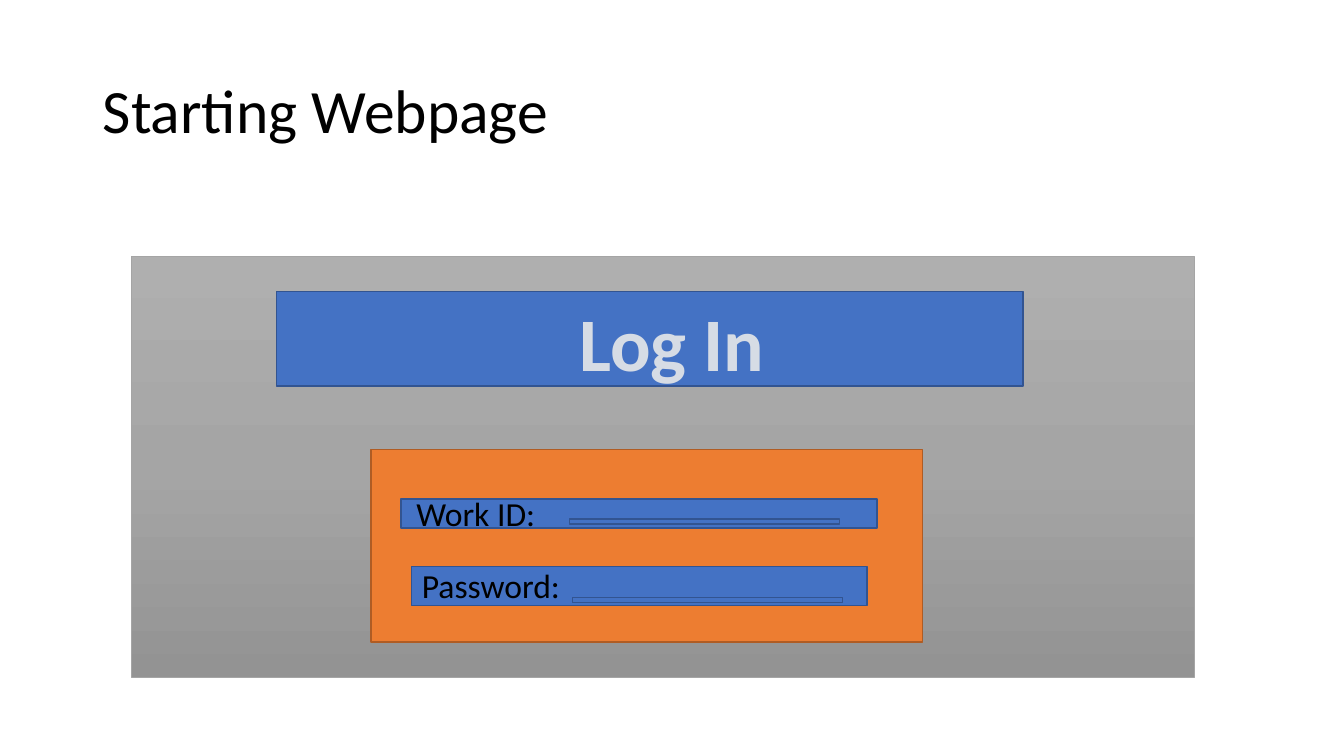
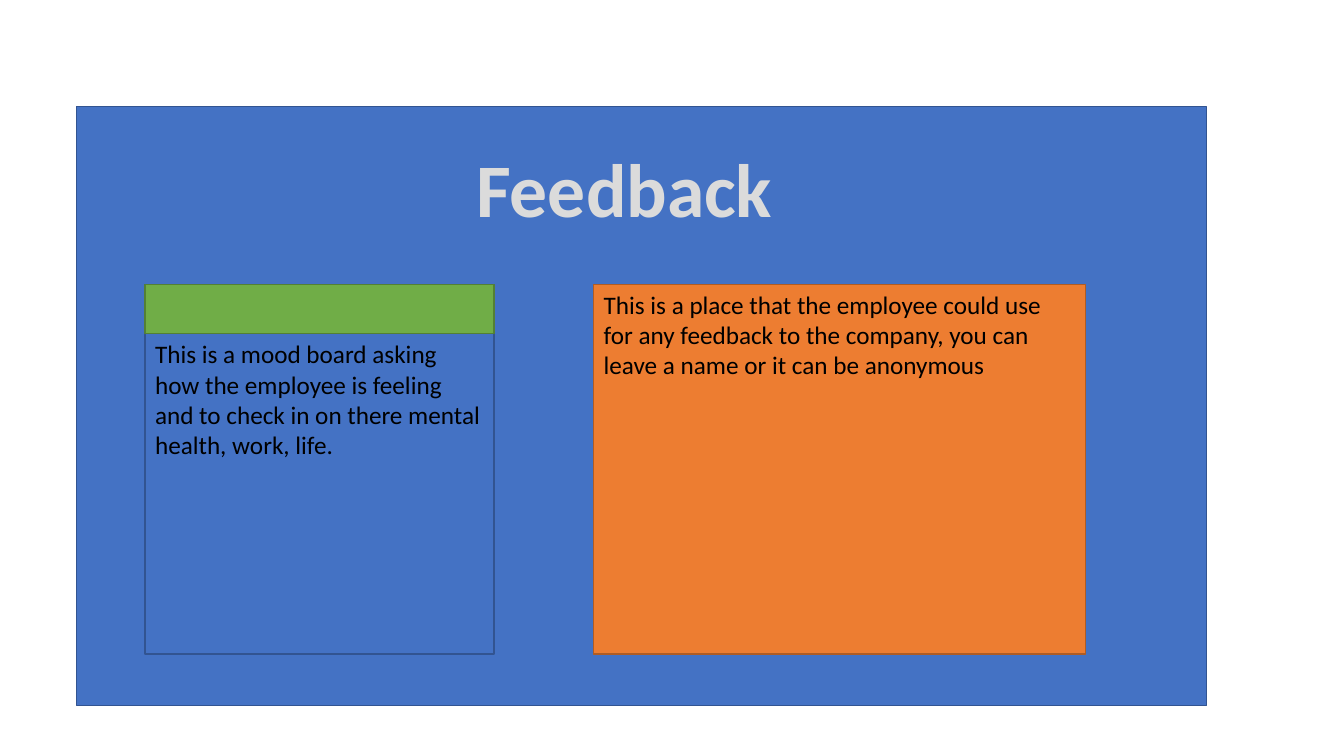
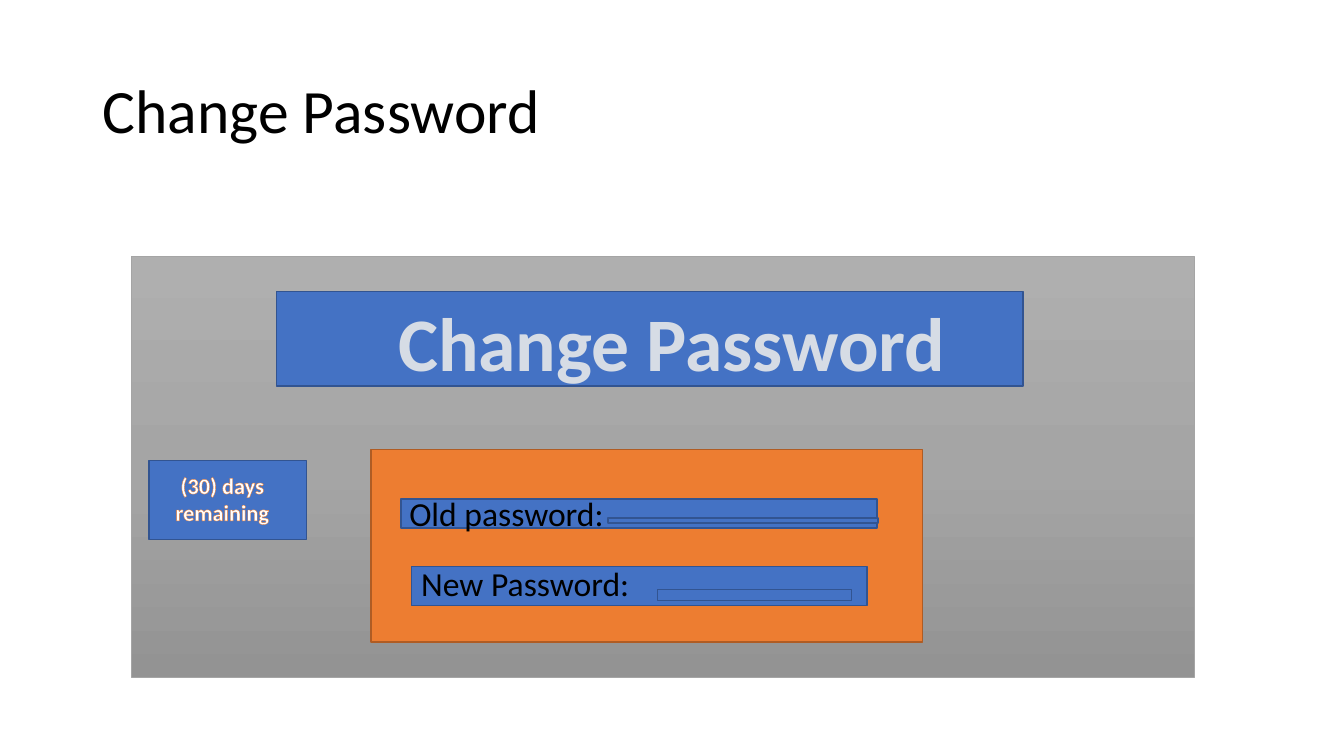
from copy import deepcopy

from lxml.etree import SubElement
from pptx import Presentation
from pptx.dml.color import RGBColor
from pptx.enum.dml import MSO_PATTERN as PATTERN
from pptx.enum.shapes import MSO_SHAPE as SHAPE
from pptx.enum.text import MSO_ANCHOR as ANCHOR, MSO_AUTO_SIZE as AUTO_SIZE, PP_ALIGN as ALIGN
from pptx.oxml.ns import qn
from pptx.util import Inches, Pt

CELL = 0.1
COLUMNS, ROWS = 133.33, 75
TITLE_ONLY, BLANK = 5, 6
FONT = "Calibri"
BLACK, WHITE = "000000", "FFFFFF"
BLUE = ("4472C4", "325491")
ORANGE = ("ED7D31", "AF5C24")
GREEN = ("70AD47", "538035")
GREYS = ("AFAFAF", "A5A5A5", "939393")
SLATE_HATCH = (PATTERN.DARK_UPWARD_DIAGONAL, "44546A", "D6DCE5", "333F50")
GREY_HATCH = (PATTERN.NARROW_HORIZONTAL, "A5A5A5", "DBDBDB", "525252")


def colour(value):
    """Turn a hex string into a colour."""
    return RGBColor.from_string(value)


def grid(*cells):
    """Turn grid columns and rows into slide lengths."""
    return [Inches(cell * CELL) for cell in cells]


def apply(target, formats):
    """Set each attribute named in a dict of format values."""
    for key, value in formats.items():
        setattr(target, key, value)


def panel(slide, place, paint):
    """Draw a filled rectangle with a darker edge."""
    fill, edge = paint
    rectangle = slide.shapes.add_shape(SHAPE.RECTANGLE, *grid(*place))
    rectangle.shadow.inherit = False
    rectangle.fill.solid()
    rectangle.fill.fore_color.rgb = colour(fill)
    rectangle.line.color.rgb = colour(edge)
    rectangle.line.width = Pt(1)
    return rectangle


def backdrop(slide, place):
    """Draw the grey page whose shade deepens downwards."""
    page = panel(slide, place, (GREYS[1], GREYS[1]))
    page.line.width = Pt(0.5)
    page.fill.gradient()
    page.fill.gradient_angle = 270
    stop_list = page._element.spPr.find(".//" + qn("a:gsLst"))
    stop_list.append(deepcopy(stop_list[-1]))
    for index, (stop, shade) in enumerate(zip(page.fill.gradient_stops, GREYS)):
        apply(stop, {"position": index / 2})
        stop.color.rgb = colour(shade)


def write(frame, text, size, ink=BLACK, align=ALIGN.LEFT, bold=False):
    """Fill a text frame with one formatted paragraph and return its run."""
    paragraph = frame.paragraphs[0]
    paragraph.alignment = align
    run = paragraph.add_run()
    run.text = text
    apply(run.font, {"name": FONT, "size": Pt(size), "bold": bold})
    run.font.color.rgb = colour(ink)
    return run


def label(slide, place, text, size, **style):
    """Place wrapped text that is not in a panel."""
    frame = slide.shapes.add_textbox(*grid(*place)).text_frame
    apply(frame, {"word_wrap": True, "auto_size": AUTO_SIZE.SHAPE_TO_FIT_TEXT})
    return write(frame, text, size, **style)


def outline(run, ink, width):
    """Give the letters of a run an outline."""
    properties = run.font._element
    line = properties.makeelement(qn("a:ln"), {"w": str(Pt(width))})
    solid = SubElement(line, qn("a:solidFill"))
    SubElement(solid, qn("a:srgbClr"), val=ink)
    properties.insert(0, line)


def heading(slide, centre, top, text, hatch):
    """Write large hatched lettering around a centre column."""
    pattern, front, back, edge = hatch
    width = 74
    run = label(slide, (centre - width / 2, top, width, 10.1), text, 54,
                align=ALIGN.CENTER, bold=True)
    fill = run.font.fill
    fill.patterned()
    fill.pattern = pattern
    fill.fore_color.rgb = colour(front)
    fill.back_color.rgb = colour(back)
    outline(run, edge, 1)


def title(slide, text):
    """Place and format the title placeholder."""
    holder = slide.shapes.title
    apply(holder, dict(zip(("left", "top", "width", "height"), grid(9.2, 4, 115, 14.5))))
    apply(holder.text_frame, {"word_wrap": True, "auto_size": AUTO_SIZE.NONE,
                              "vertical_anchor": ANCHOR.MIDDLE})
    write(holder.text_frame, text, 44)
    holder.text_frame.paragraphs[0].line_spacing = 0.9


def form_page(deck, name, banner, fields):
    """Add a page with a banner and a form of two entry fields."""
    slide = deck.slides.add_slide(deck.slide_layouts[TITLE_ONLY])
    title(slide, name)
    backdrop(slide, (13, 25.4, 105.5, 41.8))
    panel(slide, (27.4, 28.9, 74.1, 9.4), BLUE)
    heading(slide, COLUMNS / 2, 28.9, banner, SLATE_HATCH)
    panel(slide, (36.8, 44.6, 54.7, 19.1), ORANGE)
    bars = (39.8, 49.5, 47.2, 2.9), (40.8, 56.2, 45.2, 3.9)
    for bar, (prompt, prompt_place, entry_place) in zip(bars, fields):
        panel(slide, bar, BLUE)
        label(slide, prompt_place, prompt, 24, align=ALIGN.CENTER)
        panel(slide, entry_place, BLUE)
    return slide


def feedback_page(deck):
    """Add the page with the mood board and the feedback box."""
    slide = deck.slides.add_slide(deck.slide_layouts[BLANK])
    top, height, strip = 28.2, 36.7, 4.9
    mood_left, mood_width = 14.4, 34.6
    note_left, note_width = 58.9, 48.8
    panel(slide, (7.6, 10.6, 112.1, 59.4), BLUE)
    heading(slide, 61.95, 13.6, "Feedback", GREY_HATCH)
    panel(slide, (note_left, top, note_width, height), ORANGE)
    panel(slide, (mood_left, top, mood_width, height), BLUE)
    panel(slide, (mood_left, top, mood_width, strip), GREEN)
    label(slide, (note_left, top, note_width, 10.1),
          "This is a place that the employee could use for any feedback to the company, "
          "you can leave a name or it can be anonymous", 18)
    label(slide, (mood_left, top + strip, mood_width, 13.1),
          "This is a mood board asking how the employee is feeling and to check in on "
          "there mental health, work, life.", 18)


def expiry_notice(slide):
    """Add the notice of the days that remain."""
    panel(slide, (14.8, 45.7, 15.6, 7.8), BLUE)
    notice = label(slide, (13.6, 46.3, 16.9, 6.4), "(30) days remaining", 16,
                   ink=WHITE, align=ALIGN.CENTER, bold=True)
    outline(notice, ORANGE[0], 0.52)


def main():
    """Build and save the deck."""
    deck = Presentation()
    deck.slide_width, deck.slide_height = grid(COLUMNS, ROWS)
    form_page(deck, "Starting Webpage", "Log In", [
        ("Work ID:", (38.1, 48.4, 18.2, 5), (56.5, 51.5, 26.8, 0.5)),
        ("Password:", (40.3, 55.6, 16.8, 5), (56.8, 59.3, 26.8, 0.5)),
    ])
    feedback_page(deck)
    change = form_page(deck, "Change Password", "Change Password", [
        ("Old password:", (38.1, 48.4, 24.3, 5), (60.3, 51.4, 26.8, 0.5)),
        ("New Password:", (40.2, 55.4, 23.8, 5), (65.2, 58.5, 19.3, 1.1)),
    ])
    expiry_notice(change)
    deck.save("out.pptx")


if __name__ == "__main__":
    main()
